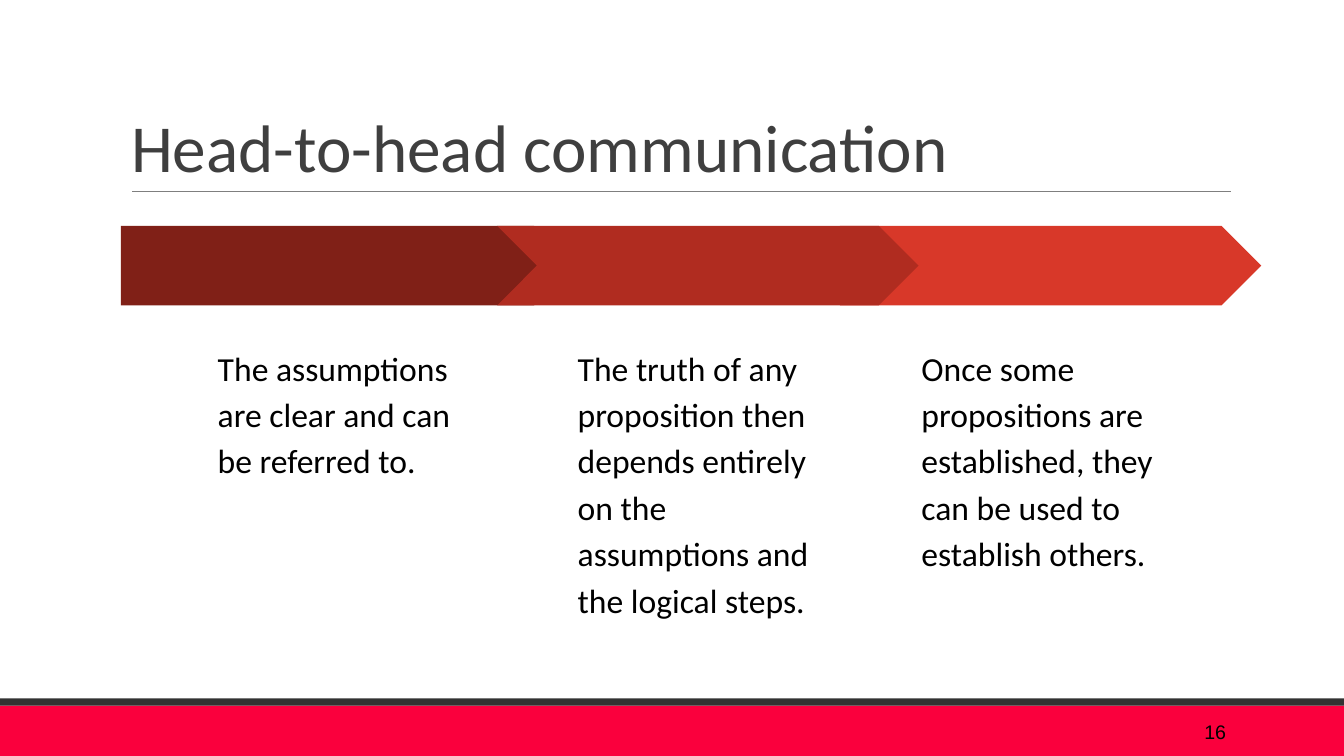
from collections import namedtuple

from pptx import Presentation
from pptx.dml.color import RGBColor
from pptx.enum.shapes import MSO_CONNECTOR as Connector, MSO_SHAPE as Shape
from pptx.enum.text import MSO_ANCHOR as Anchor, MSO_AUTO_SIZE as AutoSize, PP_ALIGN as Align
from pptx.oxml.ns import qn
from pptx.util import Inches, Pt

BLACK = RGBColor(0x00, 0x00, 0x00)
TITLE_GREY = RGBColor(0x3F, 0x3F, 0x3F)
RULE_GREY = RGBColor(0x7F, 0x7F, 0x7F)
BAND_GREY = RGBColor(0x32, 0x32, 0x32)
BAND_RED = RGBColor(0xFA, 0x00, 0x3D)
DARK_RED = RGBColor(0x80, 0x20, 0x17)
MID_RED = RGBColor(0xB0, 0x2C, 0x20)
LIGHT_RED = RGBColor(0xD8, 0x38, 0x29)

WIDTH, HEIGHT = 13.33, 7.5
MARGIN = 1.2
INSET = 0.13
ARROW_HEIGHT = 0.79
TEXT_TOP, TEXT_WIDTH, TEXT_HEIGHT = 1.02, 2.83, 3.07

Box = namedtuple("Box", "left top width height")
Step = namedtuple("Step", "left width kind color indent text")

STEPS_BACK_TO_FRONT = [
    Step(7.13, 4.18, Shape.CHEVRON, LIGHT_RED, 0.68,
         "Once some propositions are established, they can be used to establish others."),
    Step(0, 4.49, Shape.PENTAGON, DARK_RED, 0.83,
         "The assumptions are clear and can be referred to."),
    Step(3.73, 4.18, Shape.CHEVRON, MID_RED, 0.67,
         "The truth of any proposition then depends entirely on the assumptions and the logical steps."),
]


def emu(box):
    """Turn a box in inches into slide units."""
    return [Inches(length) for length in box]


def add_block(page, kind, box, color):
    """Draw a flat filled shape without outline or shadow."""
    shape = page.shapes.add_shape(kind, *emu(box))
    shape.shadow.inherit = False
    shape.fill.solid()
    shape.fill.fore_color.rgb = color
    shape.line.fill.background()
    return shape


def write(shape, text, size, font, color, align=Align.LEFT, anchor=Anchor.TOP,
          spacing=1.0, inset=None):
    """Fill a text frame with one formatted paragraph."""
    frame = shape.text_frame
    frame.word_wrap = True
    frame.auto_size = AutoSize.NONE
    frame.vertical_anchor = anchor
    if inset is not None:
        frame.margin_left = frame.margin_right = Inches(inset)
        frame.margin_top = frame.margin_bottom = Inches(inset)
    frame.text = text
    para = frame.paragraphs[0]
    para.alignment = align
    para.line_spacing = spacing
    para.font.size = Pt(size)
    para.font.name = font
    para.font.color.rgb = color


def add_footer(page, box, number):
    """Draw the two-tone footer band and the slide number."""
    stripe = 0.07
    add_block(page, Shape.RECTANGLE, box, BAND_RED)
    add_block(page, Shape.RECTANGLE, box._replace(top=box.top - stripe, height=stripe), BAND_GREY)
    label = page.shapes.add_textbox(*emu((box.width - 2.5, box.top + 0.06, 1.43, 0.4)))
    write(label, number, 14, "Arial", BLACK, Align.RIGHT, Anchor.MIDDLE)


def add_title(page, box, text):
    """Place the title above its thin rule."""
    title = page.shapes.title
    title.left, title.top, title.width, title.height = emu(box)
    write(title, text, 48, "Calibri", TITLE_GREY, anchor=Anchor.BOTTOM, spacing=0.85)
    left, bottom = box.left + 0.11, box.top + box.height
    rule = page.shapes.add_connector(Connector.STRAIGHT, *emu((left, bottom, left + 10.9, bottom)))
    rule.line.color.rgb = RULE_GREY
    rule.line.width = Pt(0.75)
    properties = rule._element.spPr
    properties.append(properties.makeelement(qn("a:effectLst"), {}))


def add_steps(page, box, steps):
    """Draw the overlapping arrows with a text under each."""
    for step in steps:
        left = box.left + step.left
        add_block(page, step.kind, Box(left, box.top, step.width, ARROW_HEIGHT), step.color)
        note = page.shapes.add_textbox(
            *emu((left + step.indent, box.top + TEXT_TOP, TEXT_WIDTH, TEXT_HEIGHT)))
        write(note, step.text, 24, "Calibri", BLACK, spacing=1.15, inset=INSET)


def main():
    """Build and save the slide."""
    deck = Presentation()
    deck.slide_width, deck.slide_height = Inches(WIDTH), Inches(HEIGHT)
    page = deck.slides.add_slide(deck.slide_layouts[5])
    add_footer(page, Box(0, 7, WIDTH, 0.5), "16")
    add_title(page, Box(MARGIN, 0.31, 11, 1.59), "Head-to-head communication")
    add_steps(page, Box(MARGIN, 2.24, 11.31, 4.09), STEPS_BACK_TO_FRONT)
    deck.save("out.pptx")


if __name__ == "__main__":
    main()
